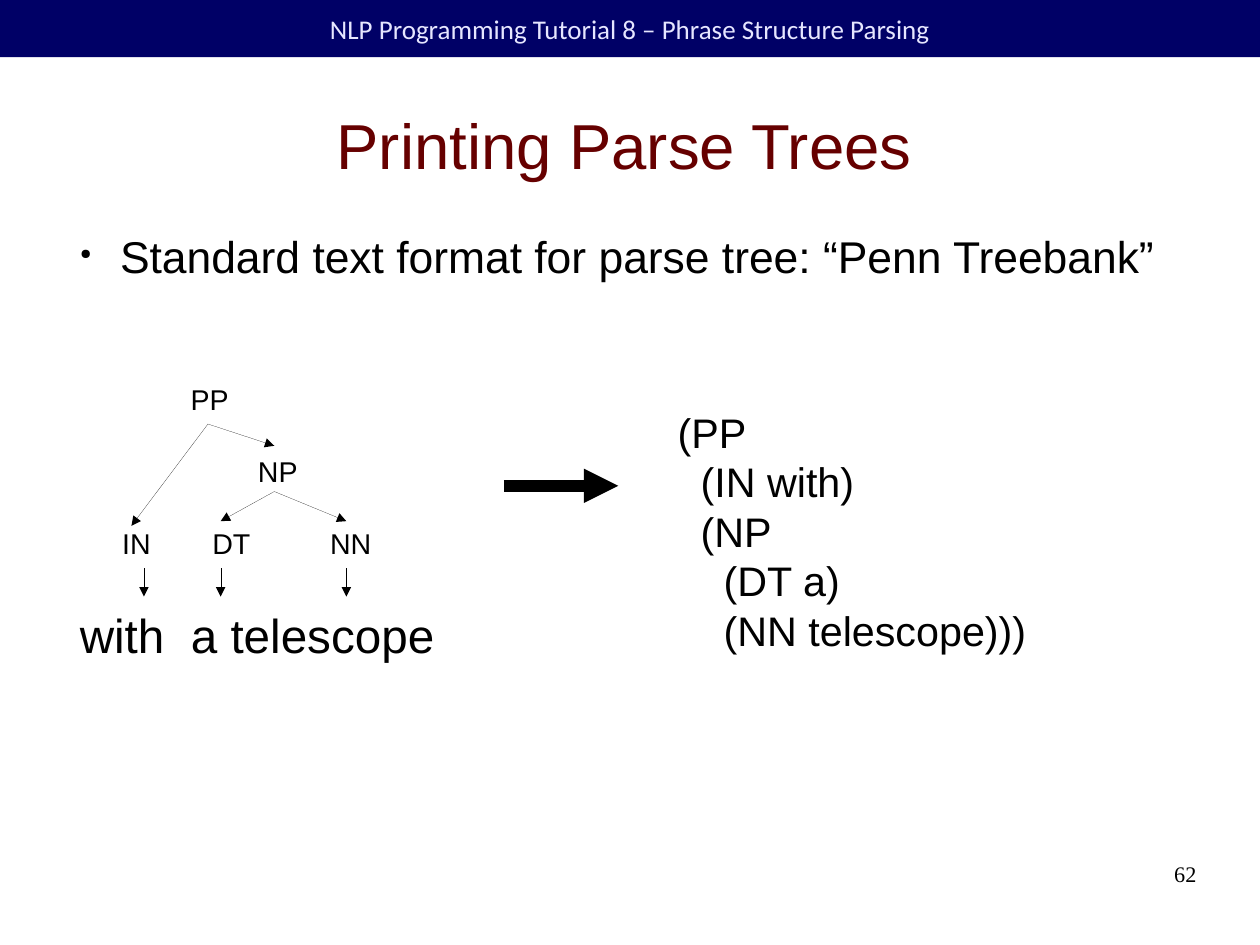
from dataclasses import dataclass

from lxml.etree import SubElement
from pptx import Presentation
from pptx.dml.color import RGBColor
from pptx.enum.shapes import MSO_CONNECTOR, MSO_SHAPE
from pptx.enum.text import MSO_ANCHOR, MSO_AUTO_SIZE, PP_ALIGN
from pptx.oxml.ns import qn
from pptx.util import Pt


@dataclass(frozen=True)
class Theme:
    banner: RGBColor = RGBColor(0x00, 0x00, 0x66)
    banner_text: RGBColor = RGBColor(0xE6, 0xE6, 0xFF)
    title: RGBColor = RGBColor(0x66, 0x00, 0x00)
    ink: RGBColor = RGBColor(0x00, 0x00, 0x00)
    banner_size: float = 17
    title_size: float = 40
    body_size: float = 28
    words_size: float = 30
    treebank_size: float = 26
    label_size: float = 18
    number_size: float = 14


THEME = Theme()
INSETS = (7.2, 3.6, 7.2, 3.6)
NO_INSETS = (0, 0, 0, 0)

# Tree labels: text, centre, top, width
LABELS = [
    ("PP", 132.1, 236.9, 39),
    ("NP", 175, 282.2, 40.5),
    ("IN", 86, 327.6, 33),
    ("DT", 145.8, 327.6, 39),
    ("NN", 221, 327.6, 41),
]
# Branches: parent point and the points of its children
BRANCHES = [
    ((131, 267.1), [(82.8, 331.2), (172.8, 280.8)]),
    ((172.8, 309.6), [(139, 328.3), (218.2, 328.3)]),
]
STEM_CENTRES = [90.7, 139, 218.2]
STEM_TOP, STEM_BOTTOM = 357.8, 375.8

# Treebank lines with their depth in the tree
TREEBANK = [
    ("(PP", 0),
    ("(IN with)", 1),
    ("(NP", 1),
    ("(DT a)", 2),
    ("(NN telescope)))", 2),
]
DEPTH_INDENT = 14.45


def apply_format(target, values):
    for name, value in values.items():
        setattr(target, name, value)


def format_frame(frame, insets, wrap=True, anchor=MSO_ANCHOR.TOP):
    left, top, right, bottom = map(Pt, insets)
    apply_format(frame, {
        "margin_left": left, "margin_top": top,
        "margin_right": right, "margin_bottom": bottom,
        "word_wrap": wrap, "vertical_anchor": anchor,
        "auto_size": MSO_AUTO_SIZE.NONE if wrap else MSO_AUTO_SIZE.SHAPE_TO_FIT_TEXT,
    })


def write(paragraph, text, size, color=THEME.ink, font="Arial", align=PP_ALIGN.LEFT):
    paragraph.text = text
    paragraph.alignment = align
    apply_format(paragraph.font, {"name": font, "size": Pt(size), "bold": False})
    paragraph.font.color.rgb = color


def add_text_frame(slide, box, insets=INSETS, wrap=False):
    shape = slide.shapes.add_textbox(*map(Pt, box))
    format_frame(shape.text_frame, insets, wrap)
    return shape.text_frame


def add_arrow(slide, start, end, width=0):
    connector = slide.shapes.add_connector(
        MSO_CONNECTOR.STRAIGHT, *map(Pt, (*start, *end)))
    connector.line.color.rgb = THEME.ink
    line = connector.line._get_or_add_ln()
    line.set("w", str(Pt(width)))  # a hairline needs its zero written out
    SubElement(line, qn("a:tailEnd"), type="triangle")
    SubElement(connector._element.spPr, qn("a:effectLst"))


def add_banner(slide, width):
    banner = slide.shapes.add_shape(MSO_SHAPE.RECTANGLE, 0, 0, width, Pt(36))
    banner.shadow.inherit = False
    banner.fill.solid()
    banner.fill.fore_color.rgb = THEME.banner
    banner.line.fill.background()
    format_frame(banner.text_frame, INSETS, anchor=MSO_ANCHOR.MIDDLE)
    write(banner.text_frame.paragraphs[0],
          "NLP Programming Tutorial 8 – Phrase Structure Parsing",
          THEME.banner_size, THEME.banner_text, "Calibri", PP_ALIGN.CENTER)


def set_title(slide, text):
    title = slide.shapes.title
    apply_format(title, {"left": Pt(36), "top": Pt(44.9),
                         "width": Pt(714.2), "height": Pt(91.4)})
    format_frame(title.text_frame, NO_INSETS, anchor=MSO_ANCHOR.MIDDLE)
    write(title.text_frame.paragraphs[0], text, THEME.title_size, THEME.title,
          align=PP_ALIGN.CENTER)


def add_bullet_text(slide, text):
    frame = add_text_frame(slide, (41.8, 144, 714.2, 393.1), NO_INSETS, True)
    paragraph = frame.paragraphs[0]
    paragraph.space_after = Pt(14.2)
    properties = paragraph._p.get_or_add_pPr()
    properties.set("marL", str(Pt(33.8)))
    properties.set("indent", str(Pt(-25.2)))
    bullet_color = SubElement(properties, qn("a:buClr"))
    SubElement(bullet_color, qn("a:srgbClr"), val=str(THEME.ink))
    SubElement(properties, qn("a:buSzPct"), val="32000")
    SubElement(properties, qn("a:buChar"), char="●")
    write(paragraph, text, THEME.body_size)


def add_tree(slide):
    for text, centre, top, width in LABELS:
        frame = add_text_frame(slide, (centre - width / 2, top, width, 27.4))
        write(frame.paragraphs[0], text, THEME.label_size, align=PP_ALIGN.CENTER)
    for parent, children in BRANCHES:
        for child in children:
            add_arrow(slide, parent, child)
    for centre in STEM_CENTRES:
        add_arrow(slide, (centre, STEM_TOP), (centre, STEM_BOTTOM))

    # Sentence below the leaves, with a tab stop after the first word
    frame = add_text_frame(slide, (43.2, 378, 237.6, 40.3))
    paragraph = frame.paragraphs[0]
    tabs = SubElement(paragraph._p.get_or_add_pPr(), qn("a:tabLst"))
    SubElement(tabs, qn("a:tab"), pos=str(Pt(70)), algn="l")
    write(paragraph, "with\ta telescope", THEME.words_size)


def add_treebank(slide):
    frame = add_text_frame(slide, (419.8, 252.7, 237, 152.6))
    for index, (text, depth) in enumerate(TREEBANK):
        paragraph = frame.add_paragraph() if index else frame.paragraphs[0]
        paragraph._p.get_or_add_pPr().set("marL", str(Pt(depth * DEPTH_INDENT)))
        write(paragraph, text, THEME.treebank_size)


def add_slide_number(slide, number):
    frame = add_text_frame(slide, (568.8, 542.2, 185, 41), NO_INSETS, True)
    write(frame.paragraphs[0], number, THEME.number_size,
          font="Times New Roman", align=PP_ALIGN.RIGHT)


def main():
    presentation = Presentation()
    apply_format(presentation, {"slide_width": Pt(793.75), "slide_height": Pt(595.25)})
    slide = presentation.slides.add_slide(presentation.slide_layouts[5])

    # Heading
    add_banner(slide, presentation.slide_width)
    set_title(slide, "Printing Parse Trees")
    add_bullet_text(slide, "Standard text format for parse tree: “Penn Treebank”")

    # Tree and its printed form
    add_tree(slide)
    add_arrow(slide, (317.5, 306), (389.5, 306), 7.2)
    add_treebank(slide)

    add_slide_number(slide, "62")
    presentation.save("out.pptx")


if __name__ == "__main__":
    main()
